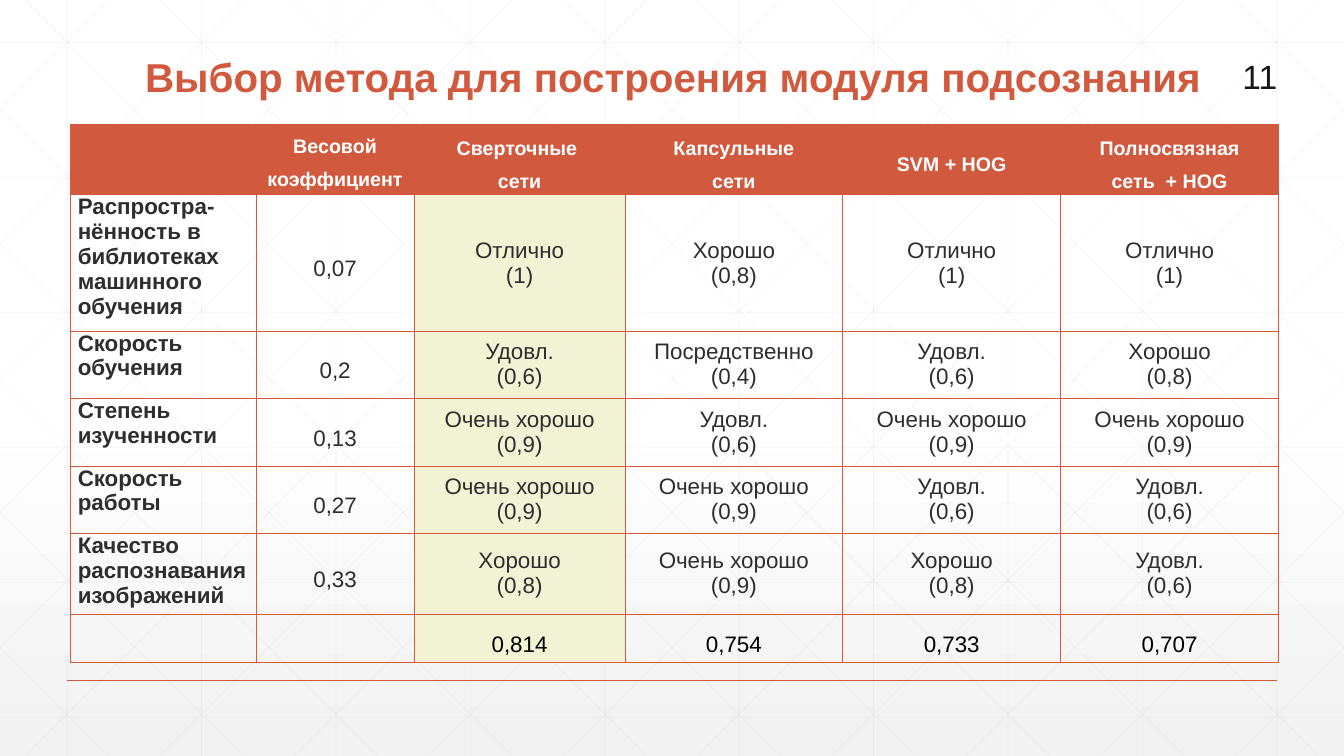
import pptx
import pptx.dml.color
import pptx.enum.shapes
import pptx.enum.text
import pptx.oxml
import pptx.oxml.ns
import pptx.util

Cm = pptx.util.Cm
Pt = pptx.util.Pt
ALIGN = pptx.enum.text.PP_ALIGN
ANCHOR = pptx.enum.text.MSO_ANCHOR

WIDTH, HEIGHT = 33.87, 19.05
LATTICE_STEP = WIDTH / 10
FONT = "Arial"
ACCENT, HIGHLIGHT, LATTICE = "D15A3E", "F1F3D4", "D9D9D9"
WHITE, BLACK, BODY = "FFFFFF", "000000", "2D2E2D"

COLUMN_WIDTHS = [4.67, 3.99, 5.31, 5.49, 5.49, 5.49]
ROW_HEIGHTS = [1.55, 3.43, 1.7, 1.7, 1.7, 1.7, 1.22]
BEST_COLUMN = 2
HEADERS = ["", "Весовой\vкоэффициент", "Сверточные \vсети",
           "Капсульные\vсети", "SVM + HOG", "Полносвязная\vсеть  + HOG"]
GRADES = {"1": "Отлично", "0,9": "Очень хорошо", "0,8": "Хорошо",
          "0,6": "Удовл.", "0,4": "Посредственно"}
CRITERIA = [
    ("Распростра-нённость в библиотеках машинного обучения ",
     "0,07", ["1", "0,8", "1", "1"]),
    ("Скорость обучения", "0,2", ["0,6", "0,4", "0,6", "0,8"]),
    ("Степень изученности", "0,13", ["0,9", "0,6", "0,9", "0,9"]),
    ("Скорость работы", "0,27", ["0,9", "0,9", "0,6", "0,6"]),
    ("Качество распознавания изображений",
     "0,33", ["0,8", "0,9", "0,8", "0,6"]),
]
TOTALS = ["", "", "0,814", "0,754", "0,733", "0,707"]


def color(value):
    """Turn a hex string into a colour."""
    return pptx.dml.color.RGBColor.from_string(value)


def paint_background(slide):
    """Fill the slide with white that fades to light grey at the bottom."""
    fill = slide.background.fill
    fill.gradient()
    fill.gradient_angle = 270
    for stop, position, value in zip(fill.gradient_stops, (0.53, 1), (WHITE, "F2F2F2")):
        stop.position = position
        stop.color.rgb = color(value)


def add_line(slide, start, end, value, width, opacity=100):
    """Draw a straight line between two points in centimetres."""
    line = slide.shapes.add_connector(
        pptx.enum.shapes.MSO_CONNECTOR.STRAIGHT,
        *(Cm(length) for length in (*start, *end)))
    line.line.color.rgb = color(value)
    line.line.width = Pt(width)
    properties = line._element.spPr
    if opacity < 100:
        solid = properties.find(".//" + pptx.oxml.ns.qn("a:srgbClr"))
        solid.append(pptx.oxml.parse_xml(
            f'<a:alpha {pptx.oxml.ns.nsdecls("a")} val="{opacity * 1000}"/>'))
    properties.append(pptx.oxml.parse_xml(
        f'<a:effectLst {pptx.oxml.ns.nsdecls("a")}/>'))


def add_lattice(slide):
    """Draw the faint grid and its mirrored diagonals, clipped to the slide."""
    segments = []
    for index in range(10):
        x = (index + 0.5) * LATTICE_STEP
        segments.append(((x, 0), (x, HEIGHT)))
    for index in range(6):
        y = 1.07 + 3.4 * index
        segments.append(((0, y), (WIDTH, y)))
    for index in range(-5, 10):
        offset = 0.63 + index * LATTICE_STEP
        left, right = max(offset, 0), min(offset + HEIGHT, WIDTH)
        top, bottom = left - offset, right - offset
        segments.append(((left, top), (right, bottom)))
        segments.append(((WIDTH - left, top), (WIDTH - right, bottom)))
    for start, end in segments:
        add_line(slide, start, end, LATTICE, 0.5, opacity=25)


def write(frame, lines, size, value, bold=False, align=ALIGN.CENTER, spacing=None):
    """Write one paragraph per line; a vertical tab breaks inside a paragraph."""
    for index, line in enumerate(lines):
        paragraph = frame.add_paragraph() if index else frame.paragraphs[0]
        paragraph.alignment = align
        if spacing:
            paragraph.line_spacing = spacing
        for part_index, part in enumerate(line.split("\v")):
            if part_index:
                paragraph.add_line_break()
            run = paragraph.add_run()
            run.text = part
            run.font.name = FONT
            run.font.size = Pt(size)
            run.font.bold = bold
            run.font.color.rgb = color(value)


def add_text(slide, box, text, size, value, anchor, **style):
    """Add a wrapped text box; box is left, top, width, height."""
    shape = slide.shapes.add_textbox(*(Cm(length) for length in box))
    shape.text_frame.word_wrap = True
    shape.text_frame.vertical_anchor = anchor
    write(shape.text_frame, [text], size, value, **style)


def format_cell(cell, fill):
    """Set the margins, thin accent borders and fill of a cell."""
    cell.margin_left = cell.margin_right = Cm(0.18)
    cell.margin_top = cell.margin_bottom = 0
    cell.vertical_anchor = ANCHOR.MIDDLE
    properties = cell._tc.get_or_add_tcPr()
    for side in "LRTB":
        properties.append(pptx.oxml.parse_xml(
            f'<a:ln{side} {pptx.oxml.ns.nsdecls("a")} w="{Pt(0.5)}"><a:solidFill>'
            f'<a:srgbClr val="{ACCENT}"/></a:solidFill></a:ln{side}>'))
    if fill:
        cell.fill.solid()
        cell.fill.fore_color.rgb = color(fill)
    else:
        cell.fill.background()


def fill_row(table, row, texts, size, value, bold=False):
    """Write a row of single-paragraph cells with wide line spacing."""
    for column, text in enumerate(texts):
        if text:
            write(table.cell(row, column).text_frame, [text], size, value,
                  bold=bold, spacing=1.5)


def add_comparison_table(slide):
    """Add the weighted comparison of methods."""
    table = slide.shapes.add_table(
        len(ROW_HEIGHTS), len(COLUMN_WIDTHS), Cm(1.78), Cm(3.13),
        Cm(sum(COLUMN_WIDTHS)), Cm(sum(ROW_HEIGHTS))).table
    table.first_row = table.horz_banding = False
    for column, width in zip(table.columns, COLUMN_WIDTHS):
        column.width = Cm(width)
    for row, height in enumerate(ROW_HEIGHTS):
        table.rows[row].height = Cm(height)
        for column in range(len(COLUMN_WIDTHS)):
            body_fill = HIGHLIGHT if column == BEST_COLUMN else None
            format_cell(table.cell(row, column), body_fill if row else ACCENT)

    fill_row(table, 0, HEADERS, 14, WHITE, bold=True)
    table.cell(0, 1).vertical_anchor = ANCHOR.TOP
    for row, (criterion, weight, scores) in enumerate(CRITERIA, start=1):
        label = table.cell(row, 0)
        label.vertical_anchor = ANCHOR.TOP
        write(label.text_frame, [criterion], 16, BODY, bold=True,
              align=ALIGN.LEFT if row == 1 else ALIGN.JUSTIFY)
        fill_row(table, row, ["", weight], 16, BODY)
        for column, score in enumerate(scores, start=BEST_COLUMN):
            write(table.cell(row, column).text_frame,
                  [GRADES[score], f"({score})"], 16, BODY)
    fill_row(table, len(CRITERIA) + 1, TOTALS, 16, BLACK)


def main():
    """Build and save the slide."""
    presentation = pptx.Presentation()
    presentation.slide_width = Cm(WIDTH)
    presentation.slide_height = Cm(HEIGHT)
    slide = presentation.slides.add_slide(presentation.slide_layouts[6])
    paint_background(slide)
    add_lattice(slide)
    add_line(slide, (1.7, 17.15), (32.17, 17.15), ACCENT, 1)
    add_text(slide, (29.9, 1.6, 2.54, 0.61), "11", 24, "171717",
             ANCHOR.MIDDLE, align=ALIGN.RIGHT)
    add_comparison_table(slide)
    add_text(slide, (2.95, 1.12, 28.04, 1.55),
             "Выбор метода для построения модуля подсознания", 28.8, ACCENT,
             ANCHOR.BOTTOM, bold=True, spacing=0.9)
    presentation.save("out.pptx")


main()
